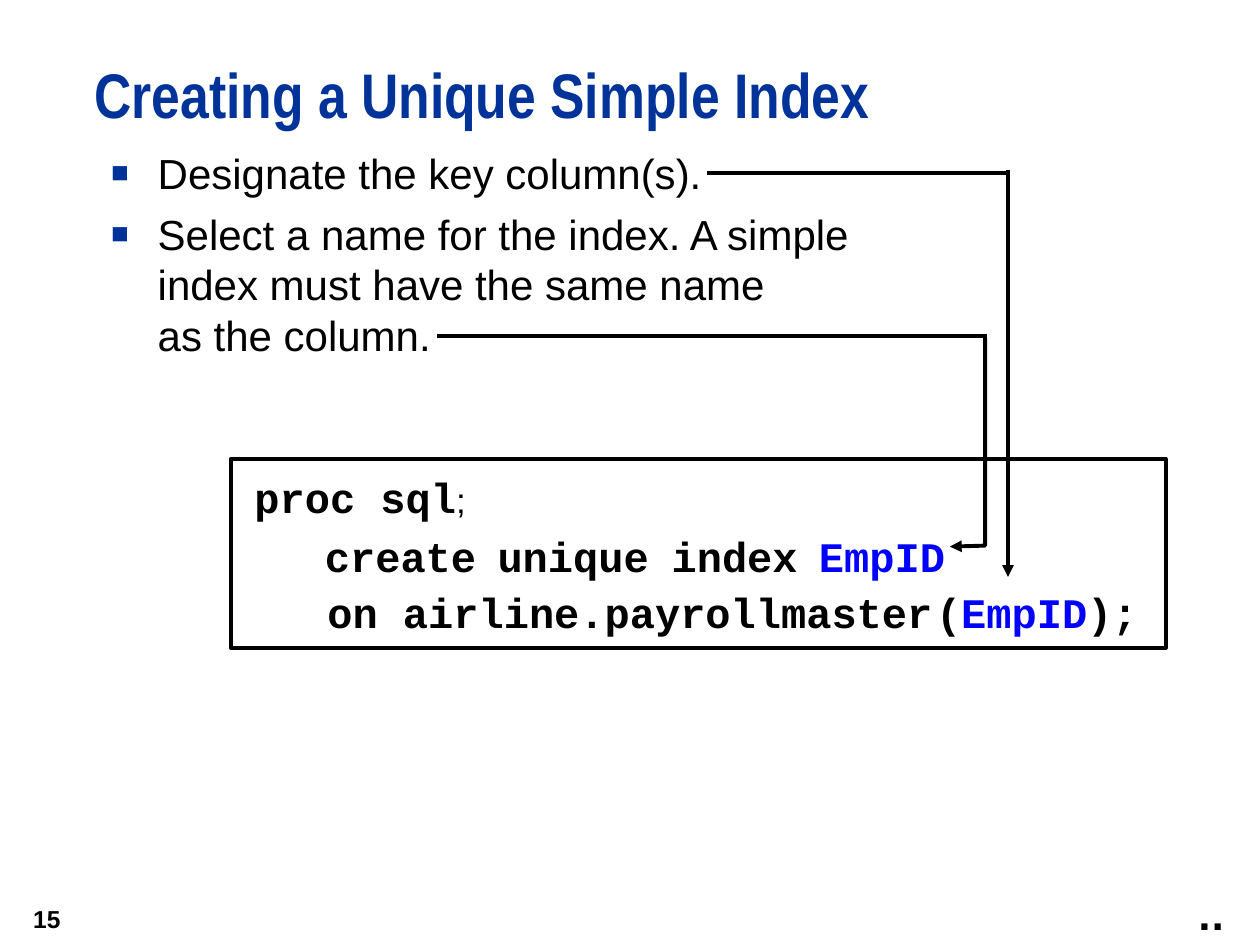
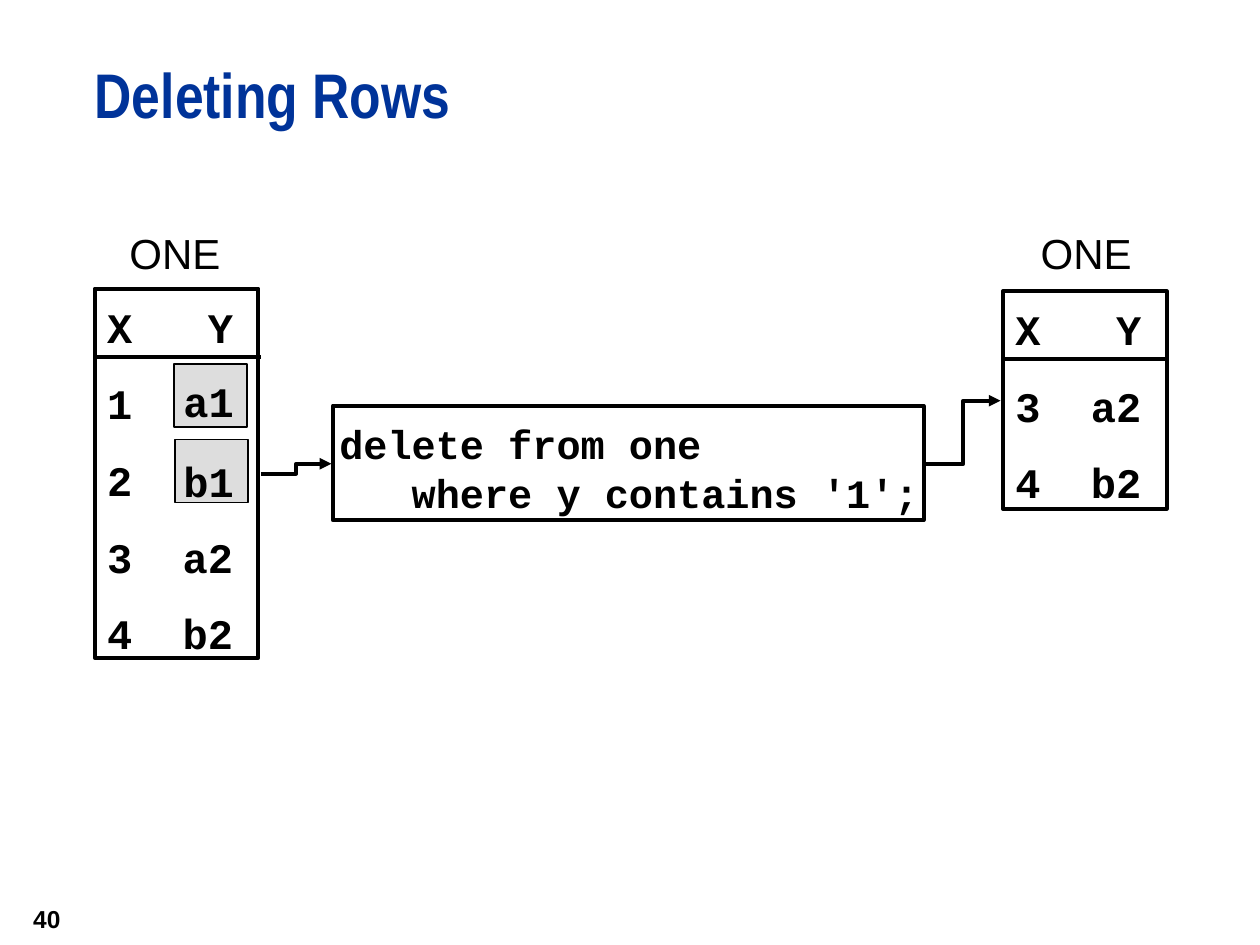
from dataclasses import dataclass
from lxml.etree import SubElement
from pptx import Presentation
from pptx.dml.color import RGBColor
from pptx.enum.shapes import MSO_CONNECTOR, MSO_SHAPE
from pptx.enum.text import MSO_ANCHOR, PP_ALIGN
from pptx.oxml import parse_xml
from pptx.oxml.ns import nsdecls, qn
from pptx.util import Cm, Pt


@dataclass(frozen=True)
class Theme:
    navy: RGBColor = RGBColor(0x00, 0x33, 0x99)
    blue: RGBColor = RGBColor(0x00, 0x00, 0xFF)
    black: RGBColor = RGBColor(0x00, 0x00, 0x00)
    white: RGBColor = RGBColor(0xFF, 0xFF, 0xFF)
    grey: RGBColor = RGBColor(0xDD, 0xDD, 0xDD)
    title_size: int = 36
    body_size: int = 24
    statement_size: int = 23
    small_size: int = 20
    number_size: int = 14
    thick: float = 2.25
    thin: float = 1


theme = Theme()

title_style = dict(name="Arial Narrow", size=theme.title_size, bold=True, color=theme.navy)
body_style = dict(name="Arial", size=theme.body_size, bold=False, color=theme.black)
code_style = dict(name="Courier New", size=theme.body_size, bold=True, color=theme.black)
key_style = code_style | dict(color=theme.blue)
statement_style = code_style | dict(size=theme.statement_size)
semicolon_style = body_style | dict(size=theme.small_size)
dots_style = dict(name="DejaVu Sans", size=theme.small_size, bold=True, color=theme.black)
number_style = body_style | dict(size=theme.number_size, bold=True)

flush = dict(margin_left=0, margin_top=0, margin_right=0, margin_bottom=0)
code_frame = dict(margin_top=Cm(0.25))
word_frame = flush | dict(margin_top=Cm(0.13), word_wrap=False)


def write(box, paragraphs, style, frame_format={}, paragraph_format={}, gap=0, marks=()):
    frame = box.text_frame
    padding = dict(margin_left=Cm(0.25), margin_top=Cm(0.13), margin_right=Cm(0.25),
                   margin_bottom=Cm(0.13), word_wrap=True, vertical_anchor=MSO_ANCHOR.TOP)
    for name, value in (padding | frame_format).items():
        setattr(frame, name, value)
    for index, content in enumerate(paragraphs):
        paragraph = frame.add_paragraph() if index else frame.paragraphs[0]
        for mark in marks:
            paragraph._p.get_or_add_pPr().append(parse_xml(mark))
        layout = dict(alignment=PP_ALIGN.LEFT, line_spacing=Pt(1.2 * style["size"]),
                      space_before=Pt(gap if index else 0))
        for name, value in (layout | paragraph_format).items():
            setattr(paragraph, name, value)
        pieces = [(content, style)] if isinstance(content, str) else content
        for text, look in pieces:
            for line_number, line in enumerate(text.split("\n")):
                if line_number:
                    paragraph.add_line_break()
                run = paragraph.add_run()
                run.text = line
                run.font.color.rgb = look["color"]
                for name, value in dict(name=look["name"], size=Pt(look["size"]), bold=look["bold"]).items():
                    setattr(run.font, name, value)


def stroke(item, width=theme.thick, arrow=False):
    item.line.color.rgb = theme.black
    item.line.width = Pt(width)
    properties = item.element.spPr
    if arrow:
        SubElement(properties.find(qn("a:ln")), qn("a:tailEnd"), type="triangle")
    SubElement(properties, qn("a:effectLst"))


deck = Presentation()
deck.slide_width, deck.slide_height = Cm(25.4), Cm(19.05)
slides = []
for heading, number in (("Creating a Unique Simple Index", "15"), ("Deleting Rows", "40")):
    slide = deck.slides.add_slide(deck.slide_layouts[6])
    slides.append(slide)
    title = slide.shapes.add_textbox(Cm(1.91), Cm(1.27), Cm(23.49), Cm(1.91))
    write(title, [heading], title_style, flush, dict(line_spacing=Pt(39)))
    page_number = slide.shapes.add_textbox(Cm(0), Cm(17.98), Cm(1.47), Cm(1.07))
    write(page_number, [number], number_style, dict(vertical_anchor=MSO_ANCHOR.MIDDLE),
          dict(alignment=PP_ALIGN.RIGHT))

index_shapes, delete_shapes = (slide.shapes for slide in slides)

steps = index_shapes.add_textbox(Cm(1.91), Cm(2.97), Cm(21.79), Cm(11.86))
square_bullet = (
    f'<a:buClr {nsdecls("a")}><a:srgbClr val="{theme.navy}"/></a:buClr>',
    f'<a:buSzPct {nsdecls("a")} val="70000"/>',
    f'<a:buFont {nsdecls("a")} typeface="Arial"/>',
    f'<a:buChar {nsdecls("a")} char="■"/>',
)
write(steps, ["Designate the key column(s).",
              "Select a name for the index. A simple \nindex must have the same name \nas the column."],
      body_style, flush, gap=6, marks=square_bullet)
for step in steps.text_frame.paragraphs:
    step_properties = step._p.get_or_add_pPr()
    step_properties.set("marL", str(Cm(1.27)))
    step_properties.set("indent", str(Cm(-0.94)))

more = index_shapes.add_textbox(Cm(23.9), Cm(17.93), Cm(1.12), Cm(1.12))
write(more, ["..."], dots_style, dict(word_wrap=False))

code_panel = index_shapes.add_shape(MSO_SHAPE.RECTANGLE, Cm(4.65), Cm(9.25), Cm(18.85), Cm(3.81))
code_panel.fill.solid()
code_panel.fill.fore_color.rgb = theme.white
stroke(code_panel)

code_lines = (
    (4.88, 9.25, 5.28, [("proc sql", code_style), (";", semicolon_style)]),
    (6.35, 11.58, 12.9, "on airline.payrollmaster"),
    (18.62, 11.58, 4.88, [("(", code_style), ("EmpID", key_style), (");", code_style)]),
)
for left, top, width, content in code_lines:
    code_line = index_shapes.add_textbox(Cm(left), Cm(top), Cm(width), Cm(1.27))
    write(code_line, [content], code_style, code_frame)

for left, word, style in ((6.55, "create", code_style), (10.03, "unique", code_style),
                          (13.54, "index", code_style), (16.51, "EmpID", key_style)):
    keyword = index_shapes.add_textbox(Cm(left), Cm(10.57), Cm(0.51 * len(word)), Cm(1.02))
    write(keyword, [word], style, word_frame)

for x1, y1, x2, y2, arrow in ((14.25, 3.48, 20.27, 3.48, False),
                              (20.32, 3.43, 20.32, 11.63, True),
                              (8.81, 6.78, 19.89, 6.78, False)):
    pointer = index_shapes.add_connector(MSO_CONNECTOR.STRAIGHT, Cm(x1), Cm(y1), Cm(x2), Cm(y2))
    stroke(pointer, arrow=arrow)

name_route = index_shapes.build_freeform(Cm(19.86), Cm(6.81))
name_route.add_line_segments([(Cm(19.86), Cm(11)), (Cm(19.15), Cm(11.02))], close=False)
name_pointer = name_route.convert_to_shape()
name_pointer.fill.background()
stroke(name_pointer, arrow=True)

column_tab = (f'<a:tabLst {nsdecls("a")}><a:tab pos="{Cm(2.54)}" algn="r"/></a:tabLst>',)
kept_rows = ["3\ta2", "4\tb2"]
for left, top, height, caption_left, rule_end, rows in (
        (1.91, 5.82, 7.44, 2.36, 5.26, ["1", "2"] + kept_rows),
        (20.22, 5.87, 4.39, 20.73, 23.5, kept_rows)):
    listing = delete_shapes.add_shape(MSO_SHAPE.RECTANGLE, Cm(left), Cm(top), Cm(3.3), Cm(height))
    listing.fill.solid()
    listing.fill.fore_color.rgb = theme.white
    stroke(listing)
    write(listing, ["X\tY"] + rows, code_style, code_frame, gap=15, marks=column_tab)
    caption = delete_shapes.add_textbox(Cm(caption_left), Cm(4.45), Cm(2.36), Cm(1.27))
    write(caption, ["ONE"], body_style)
    header_rule = delete_shapes.add_connector(
        MSO_CONNECTOR.STRAIGHT, Cm(left), Cm(top + 1.37), Cm(rule_end), Cm(top + 1.37))
    stroke(header_rule)

statement = delete_shapes.add_shape(MSO_SHAPE.RECTANGLE, Cm(6.71), Cm(8.18), Cm(11.91), Cm(2.31))
statement.fill.solid()
statement.fill.fore_color.rgb = theme.white
stroke(statement)
write(statement, ["delete from one", "   where y contains '1';"], statement_style,
      dict(margin_left=Cm(0.13), margin_top=Cm(0.28), margin_right=Cm(0.03)))

for x1, y1, x2, y2 in ((5.26, 9.55, 6.68, 9.35), (18.67, 9.35, 20.17, 8.08)):
    flow = delete_shapes.add_connector(MSO_CONNECTOR.ELBOW, Cm(x1), Cm(y1), Cm(x2), Cm(y2))
    stroke(flow, arrow=True)

for value, left, top, text_top in (("b1", 3.53, 8.86, 8.94), ("a1", 3.51, 7.34, 7.32)):
    deleted_cell = delete_shapes.add_shape(MSO_SHAPE.RECTANGLE, Cm(left), Cm(top), Cm(1.47), Cm(1.27))
    deleted_cell.fill.solid()
    deleted_cell.fill.fore_color.rgb = theme.grey
    stroke(deleted_cell, theme.thin)
    deleted_value = delete_shapes.add_textbox(Cm(3.45), Cm(text_top), Cm(1.53), Cm(1.27))
    write(deleted_value, [value], code_style, code_frame | dict(word_wrap=False))

deck.save("out.pptx")
